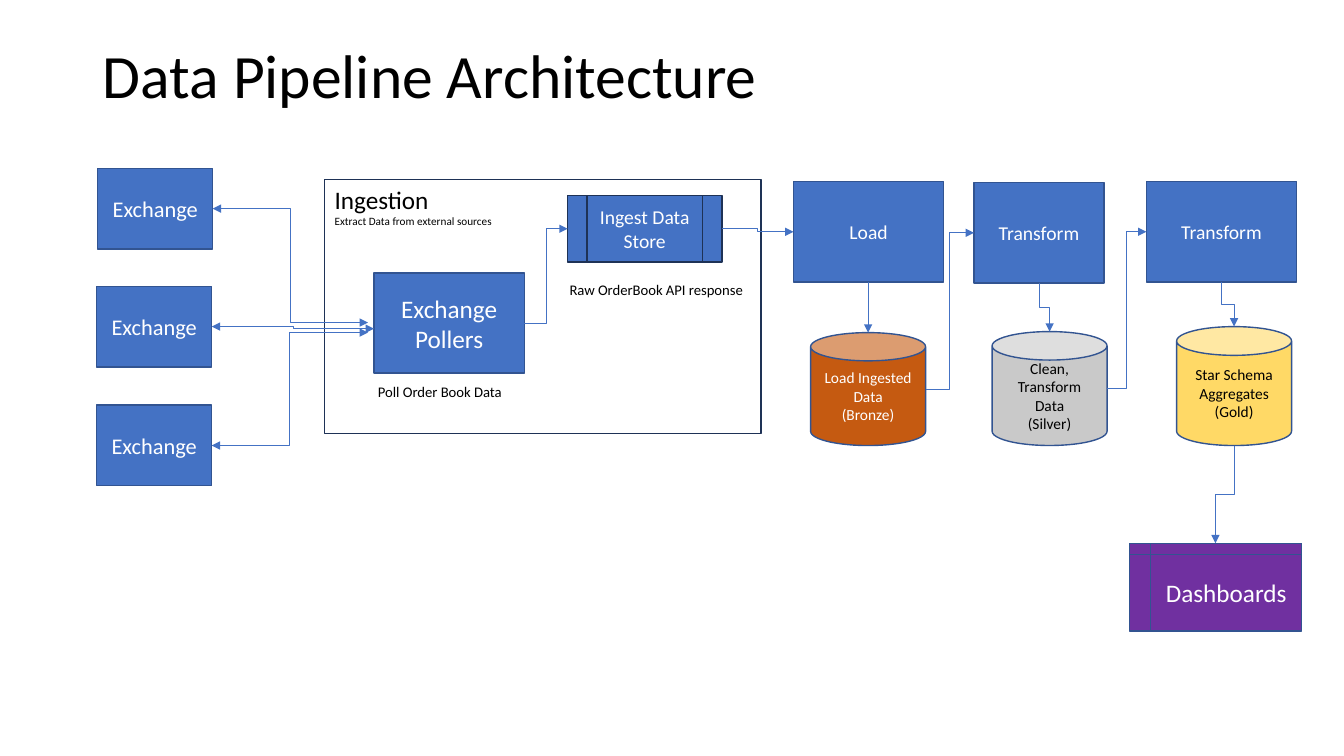
from lxml import etree
from pptx import Presentation
from pptx.dml.color import RGBColor
from pptx.enum import shapes, text
from pptx.oxml.ns import qn
from pptx.util import Inches, Pt

# Content
TITLE = "Data Pipeline Architecture"
BLUE, EDGE, DARK = "4472C4", "325491", "1E3256"
WHITE, BLACK = "FFFFFF", "000000"
KIND = shapes.MSO_SHAPE

FRAME = (3.22, 1.78, 4.33, 2.52)
FRAME_TEXT = [("Ingestion", 18), ("Extract Data from external sources", 8)]

# name: (kind, box, lines, size, fill, text colour, edge)
NODES = {
    "exchange 1": (KIND.RECTANGLE, (0.97, 1.67, 1.14, 0.8), ["Exchange"], 16, BLUE, WHITE, EDGE),
    "exchange 2": (KIND.RECTANGLE, (0.96, 2.84, 1.14, 0.8), ["Exchange"], 16, BLUE, WHITE, EDGE),
    "exchange 3": (KIND.RECTANGLE, (0.96, 4.02, 1.14, 0.8), ["Exchange"], 16, BLUE, WHITE, EDGE),
    "pollers": (KIND.RECTANGLE, (3.71, 2.71, 1.49, 0.99), ["Exchange Pollers"], 18, BLUE, WHITE, EDGE),
    "store": (KIND.FLOWCHART_PREDEFINED_PROCESS, (5.63, 1.94, 1.53, 0.66),
              ["Ingest Data Store"], 14, BLUE, WHITE, DARK),
    "load": (KIND.RECTANGLE, (7.87, 1.8, 1.49, 1), ["Load"], 14, BLUE, WHITE, EDGE),
    "transform 1": (KIND.RECTANGLE, (9.66, 1.81, 1.29, 1), ["Transform"], 14, BLUE, WHITE, EDGE),
    "transform 2": (KIND.RECTANGLE, (11.37, 1.8, 1.49, 1), ["Transform"], 14, BLUE, WHITE, EDGE),
    "bronze": (KIND.CAN, (8.04, 3.3, 1.14, 1.12),
               ["Load Ingested Data", "(Bronze)"], 11, "C55A11", WHITE, EDGE),
    "silver": (KIND.CAN, (9.84, 3.29, 1.14, 1.13),
               ["Clean, Transform Data", "(Silver)"], 11, "C9C9C9", BLACK, EDGE),
    "gold": (KIND.CAN, (11.67, 3.24, 1.14, 1.18),
             ["Star Schema", "Aggregates", "(Gold)"], 11, "FFD966", BLACK, EDGE),
    "dashboards": (KIND.FLOWCHART_INTERNAL_STORAGE, (11.2, 5.39, 1.71, 0.87),
                   ["Dashboards"], 18, "7030A0", WHITE, EDGE),
}
CAPTIONS = [("Raw OrderBook API response", (5.55, 2.74, 2.01, 0.28)),
            ("Poll Order Book Data", (3.65, 3.75, 1.45, 0.28))]

POLLS = [("exchange 1", (3.65, 3.2)), ("exchange 2", (3.71, 3.26)), ("exchange 3", (3.65, 3.3))]
ACROSS = [("pollers", "store"), ("store", "load"),
          ("bronze", "transform 1"), ("silver", "transform 2")]
DOWN = [("load", "bronze"), ("transform 1", "silver"),
        ("transform 2", "gold"), ("gold", "dashboards")]


def color(value):
    return RGBColor.from_string(value)


def write(tf, lines, colour=BLACK, align=text.PP_ALIGN.LEFT,
          anchor=text.MSO_ANCHOR.TOP, wrap=True, spacing=None):
    """Fill a text frame with (text, size) lines."""
    tf.word_wrap = wrap
    tf.vertical_anchor = anchor
    for i, (line, size) in enumerate(lines):
        p = tf.add_paragraph() if i else tf.paragraphs[0]
        p.alignment = align
        if spacing:
            p.line_spacing = spacing
        r = p.add_run()
        r.text = line
        r.font.name, r.font.size = "Calibri", Pt(size)
        r.font.color.rgb = color(colour)


def add_box(kind, box, fill, edge):
    sp = s.shapes.add_shape(kind, *map(Inches, box))
    sp.shadow.inherit = False
    sp.fill.solid()
    sp.fill.fore_color.rgb = color(fill)
    sp.line.color.rgb = color(edge)
    sp.line.width = Pt(1)
    return sp


def side(name, where):
    """Middle of one side of a node."""
    x, y, w, h = NODES[name][1]
    return {"left": (x, y + h / 2), "right": (x + w, y + h / 2),
            "top": (x + w / 2, y), "bottom": (x + w / 2, y + h)}[where]


def add_arrow(start, end, down=False, both=False):
    (x1, y1), (x2, y2) = start, end
    if down:  # lay the elbow on its side, then turn it a quarter about its centre
        cx, cy, dx, dy = (x1 + x2) / 2, (y1 + y2) / 2, x2 - x1, y2 - y1
        x1, y1, x2, y2 = cx - dy / 2, cy + dx / 2, cx + dy / 2, cy - dx / 2
    c = s.shapes.add_connector(shapes.MSO_CONNECTOR.ELBOW, *map(Inches, (x1, y1, x2, y2)))
    c.line.color.rgb = color(BLUE)
    c.line.width = Pt(0.5)
    sp_pr = c._element.spPr
    if down:
        sp_pr.find(qn("a:xfrm")).set("rot", "5400000")
    ln = sp_pr.find(qn("a:ln"))
    for tag in ["a:headEnd", "a:tailEnd"] if both else ["a:tailEnd"]:
        etree.SubElement(ln, qn(tag), type="triangle")
    etree.SubElement(sp_pr, qn("a:effectLst"))


prs = Presentation()
prs.slide_width, prs.slide_height = Inches(13.33), Inches(7.5)
s = prs.slides.add_slide(prs.slide_layouts[5])

# Title
title = s.shapes.title
title.left, title.top, title.width, title.height = map(Inches, (0.92, 0.4, 11.5, 1.45))
write(title.text_frame, [(TITLE, 44)], spacing=0.9)
title.text_frame.auto_size = text.MSO_AUTO_SIZE.NONE

# Ingestion frame
frame = add_box(KIND.RECTANGLE, FRAME, WHITE, DARK)
write(frame.text_frame, FRAME_TEXT)

# Nodes
for kind, box, lines, size, fill, ink, edge in NODES.values():
    sp = add_box(kind, box, fill, edge)
    write(sp.text_frame, [(line, size) for line in lines], colour=ink,
          align=text.PP_ALIGN.CENTER, anchor=text.MSO_ANCHOR.MIDDLE)

# Captions
for caption, box in CAPTIONS:
    tf = s.shapes.add_textbox(*map(Inches, box)).text_frame
    write(tf, [(caption, 10.5)], wrap=False)
    tf.auto_size = text.MSO_AUTO_SIZE.SHAPE_TO_FIT_TEXT

# Arrows
for name, end in POLLS:
    add_arrow(side(name, "right"), end, both=True)
for a, b in ACROSS:
    add_arrow(side(a, "right"), side(b, "left"))
for a, b in DOWN:
    add_arrow(side(a, "bottom"), side(b, "top"), down=True)

prs.save("out.pptx")
